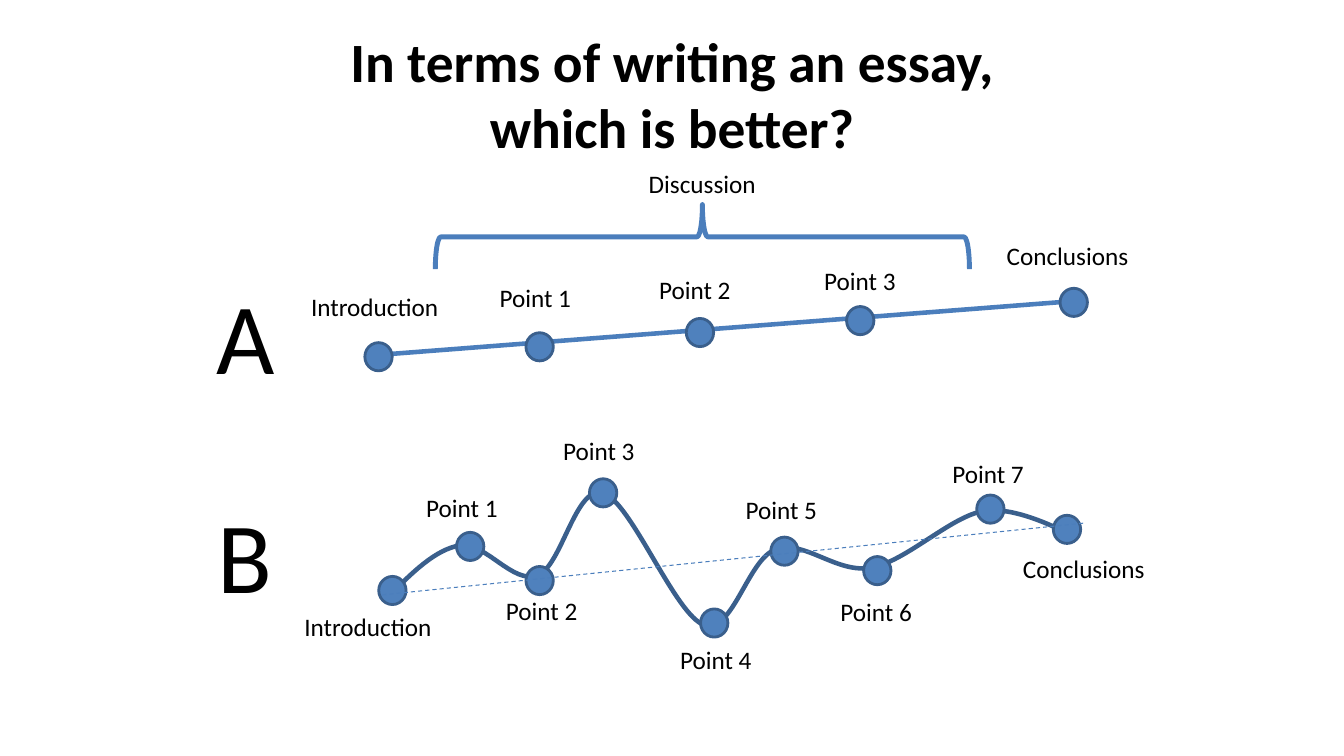
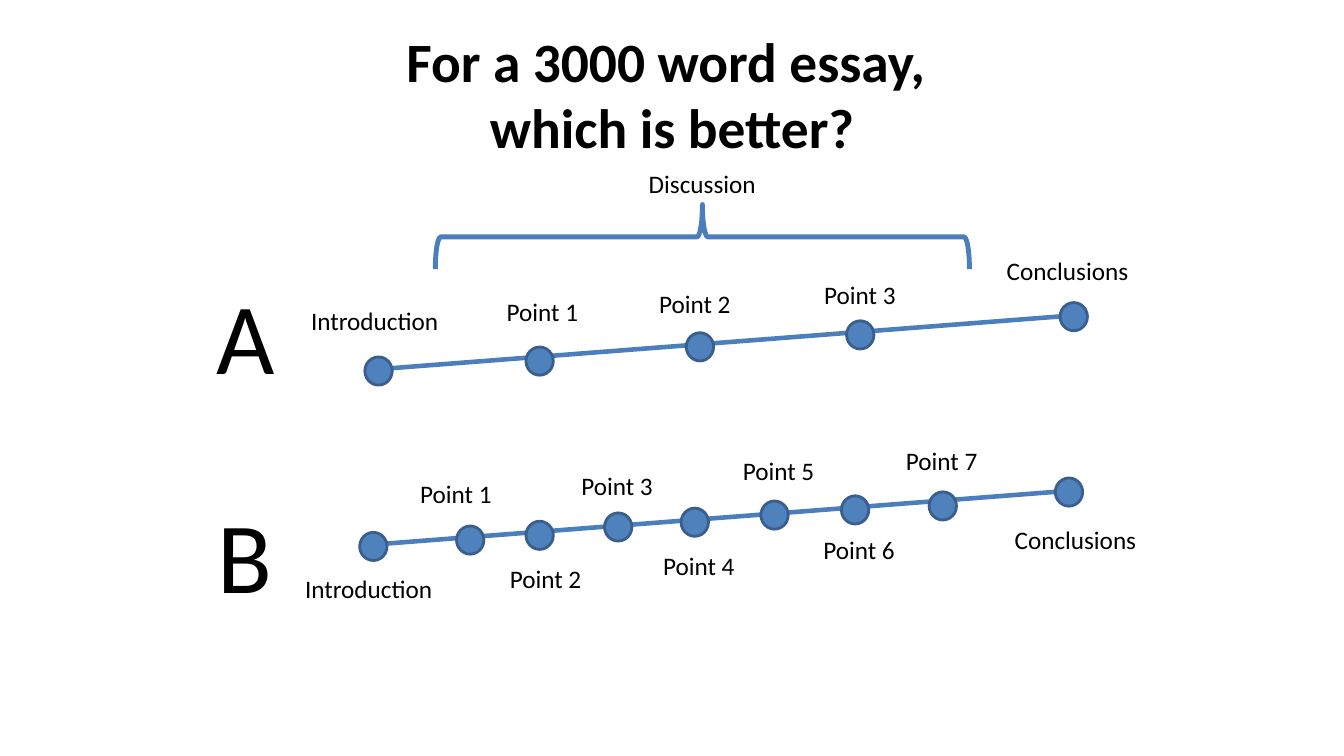
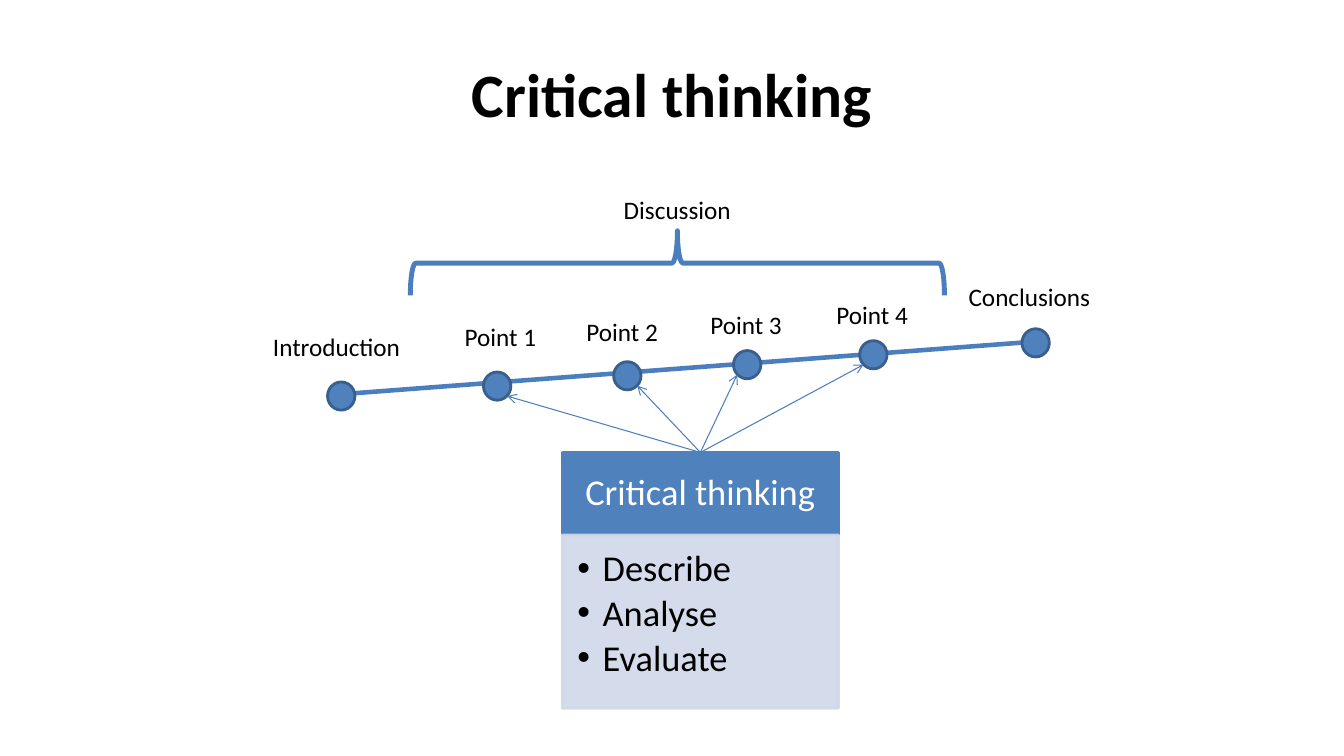
"""Builds three slides that compare the routes an essay can take."""
from lxml import etree
from pptx import Presentation as Deck
from pptx.dml.color import RGBColor as Rgb
from pptx.enum.dml import MSO_LINE as Dash
from pptx.enum.shapes import MSO_CONNECTOR as Wire, MSO_SHAPE as Kind
from pptx.enum.text import MSO_ANCHOR as Anchor, PP_ALIGN as Align
from pptx.oxml.ns import qn
from pptx.util import Cm, Pt

HUES = {"ink": "000000", "paper": "FFFFFF", "blue": "4F81BD",
        "line": "4B7EBC", "rim": "3A5F8C", "pale": "D0D8E8"}
FACE = "Calibri"
WIDTHS = {"Introduction": 3.89, "Conclusions": 3.61, "Discussion": 3.23}
POINT = 2.34
DOT = (0.69, 0.71)

WAVY = [("Introduction", 9.89, 14.88, 7.42, 15.29),
        ("Point 1", 11.85, 13.77, 10.49, 12.29),
        ("Point 2", 13.6, 14.63, 12.5, 14.88),
        ("Point 3", 15.2, 12.42, 13.94, 10.85),
        ("Point 4", 18, 15.7, 16.89, 16.1),
        ("Point 5", 19.77, 13.89, 18.54, 12.32),
        ("Point 6", 22.11, 14.38, 20.93, 14.91),
        ("Point 7", 24.96, 12.83, 23.75, 11.43),
        ("Conclusions", 26.89, 13.34, 25.53, 13.82)]
CURVE = [(9.78, 15.04),
         (10.39, 14.43), (10.97, 13.84), (11.61, 13.74),
         (12.24, 13.67), (12.93, 14.73), (13.54, 14.5),
         (14.15, 14.3), (14.5, 12.22), (15.19, 12.42),
         (15.9, 12.62), (17.02, 15.52), (17.75, 15.75),
         (18.47, 15.98), (18.85, 14.07), (19.56, 13.84),
         (20.27, 13.59), (21.11, 14.48), (21.97, 14.3),
         (22.83, 14.15), (23.98, 13), (24.79, 12.88),
         (25.6, 12.73), (26.9, 13.44), (26.9, 13.44)]
DENSE = [("Introduction", 9.41, 13.77, 7.44, 14.33),
         ("Point 1", 11.85, 13.61, 10.34, 11.94),
         ("Point 2", 13.6, 13.49, 12.6, 14.07),
         ("Point 3", 15.58, 13.28, 14.4, 11.73),
         ("Point 4", 17.51, 13.16, 16.46, 13.74),
         ("Point 5", 19.52, 12.98, 18.47, 11.35),
         ("Point 6", 21.55, 12.85, 20.5, 13.34),
         ("Point 7", 23.76, 12.75, 22.58, 11.1),
         ("Conclusions", 26.94, 12.4, 25.32, 13.08)]
FOUR = [("Introduction", 8.6, 9.98, 6.63, 8.23),
        ("Point 1", 12.53, 9.73, 11.46, 7.98),
        ("Point 2", 15.81, 9.47, 14.53, 7.85),
        ("Point 3", 18.83, 9.19, 17.65, 7.67),
        ("Point 4", 22.01, 8.94, 20.83, 7.42),
        ("Conclusions", 26.1, 8.64, 24.16, 6.96)]


def three(left, drop):
    return [(name, x, y + drop, tx, ty + drop) for name, x, y, tx, ty in [
        ("Introduction", 9.54, 8.99, 7.59, 7.21),
        ("Point 1", 13.6, 8.74, left, 6.99),
        ("Point 2", 17.64, 8.38, 16.36, 6.78),
        ("Point 3", 21.68, 8.08, 20.52, 6.55),
        ("Conclusions", 27.06, 7.62, 25.12, 5.94)]]


def cms(*nums):
    return [Cm(num) for num in nums]


def put(item, form):
    for key, value in form.items():
        setattr(item, key, value)


def hue(name):
    return Rgb.from_string(HUES[name])


def node(home, tag, **bits):
    made = etree.SubElement(home, qn(tag))
    for key, value in bits.items():
        made.set(key, str(value))
    return made


def write(part, words, size, ink="ink", **form):
    part.text = words
    put(part, form)
    put(part.font, {"name": FACE, "size": Pt(size)})
    part.font.color.rgb = hue(ink)


def text(slide, words, x, y, w, h, size=18):
    box = slide.shapes.add_textbox(*cms(x, y, w, h))
    box.text_frame.word_wrap = False
    write(box.text_frame.paragraphs[0], words, size)
    return box


def title(slide, words, size):
    box = text(slide, words, 1.7, 0.76, 30.48, 3.18, size)
    put(box.text_frame, {"word_wrap": True, "vertical_anchor": Anchor.MIDDLE})
    line = box.text_frame.paragraphs[0]
    line.alignment = Align.CENTER
    line.font.bold = True


def label(slide, words, x, y):
    text(slide, words, x, y, WIDTHS.get(words, POINT), 1.02)


def pen(item, ink, width):
    item.line.color.rgb = hue(ink)
    item.line.width = Pt(width)


def shape(slide, kind, x, y, w, h, fill, ink, width):
    made = slide.shapes.add_shape(kind, *cms(x, y, w, h))
    made.shadow.inherit = False
    if fill:
        made.fill.solid()
        made.fill.fore_color.rgb = hue(fill)
    else:
        made.fill.background()
    pen(made, ink, width)
    return made


def wire(slide, start, end, width):
    made = slide.shapes.add_connector(Wire.STRAIGHT, *cms(*start, *end))
    pen(made, "line", width)
    node(made.element.spPr, "a:effectLst")
    return made


def dots(slide, stops):
    w, h = DOT
    for name, x, y, tx, ty in stops:
        shape(slide, Kind.OVAL, x - w / 2, y - h / 2, w, h, "blue", "rim", 2)
        label(slide, name, tx, ty)


def route(slide, stops):
    x, y = stops[0][1:3]
    far, top = stops[-1][1:3]
    wire(slide, (x - 0.35, y - 0.02), (far + 0.22, top - 0.05), 3.25)
    dots(slide, stops)


def bend(slide, spots):
    places = [cms(*spot) for spot in spots]
    draft = slide.shapes.build_freeform(*places[0])
    draft.add_line_segments(places[1:], close=False)
    made = draft.convert_to_shape()
    made.shadow.inherit = False
    made.fill.background()
    pen(made, "rim", 3.25)
    track = next(made.element.iter(qn("a:path")))
    steps = track.findall(qn("a:lnTo"))
    for first in range(0, len(steps), 3):
        arc = node(track, "a:cubicBezTo")
        for step in steps[first:first + 3]:
            arc.append(step[0])
            track.remove(step)


def brace(slide, x, y):
    w, h = 1.63, 13.46
    made = shape(slide, Kind.LEFT_BRACE, x - w / 2, y - h / 2, w, h,
                 None, "line", 3.5)
    made.rotation = 90
    label(slide, "Discussion", x - 1.6, y - 1.86)


def sides(slide):
    text(slide, "A", 5.21, 6.78, 2.01, 3.33, 72)
    text(slide, "B", 5.23, 12.29, 1.91, 3.33, 72)


def pad(frame, *gaps):
    names = ("margin_left", "margin_top", "margin_right", "margin_bottom")
    put(frame, dict(zip(names, cms(*gaps))))


def card(slide, x, y, w):
    head = shape(slide, Kind.RECTANGLE, x, y, w, 2.08, "blue", "blue", 2)
    pad(head.text_frame, 0.51, 0.3, 0.51, 0.3)
    head.text_frame.vertical_anchor = Anchor.MIDDLE
    write(head.text_frame.paragraphs[0], "Critical thinking", 26, "paper",
          alignment=Align.CENTER, line_spacing=0.9)
    body = shape(slide, Kind.RECTANGLE, x, y + 2.08, w, 4.37,
                 "pale", "pale", 2)
    for tint in body.element.spPr.iter(qn("a:srgbClr")):
        node(tint, "a:alpha", val=90000)
    frame = body.text_frame
    pad(frame, 0.38, 0.38, 0.51, 0.58)
    frame.vertical_anchor = Anchor.TOP
    for rank, words in enumerate(("Describe", "Analyse", "Evaluate")):
        line = frame.add_paragraph() if rank else frame.paragraphs[0]
        props = line._p.get_or_add_pPr()
        put_in = {"marL": Cm(0.64), "indent": -Cm(0.64)}
        for key, value in put_in.items():
            props.set(key, str(value))
        node(props, "a:buFont", typeface="Arial")
        node(props, "a:buChar", char="•")
        write(line, words, 26, alignment=Align.LEFT, line_spacing=0.9,
              space_after=Pt(4))
    return head


def aim(slide, head, stops):
    x = (head.left + head.width / 2) / Cm(1)
    y = head.top / Cm(1)
    for stop in stops:
        side = 0.25 if stop[1] < x else -0.25
        made = wire(slide, (x, y), (stop[1] + side, stop[2] + 0.25), 0.75)
        made.begin_connect(head, 0)
        node(made.line._get_or_add_ln(), "a:tailEnd", type="arrow")


def main():
    deck = Deck()
    put(deck, {"slide_width": Cm(33.87), "slide_height": Cm(19.05)})
    essay, words, think = [deck.slides.add_slide(deck.slide_layouts[6])
                           for _ in range(3)]

    title(essay, "In terms of writing an essay,\vwhich is better?", 39.6)
    route(essay, three(12.34, 0))
    bend(essay, CURVE)
    dots(essay, WAVY)
    trend = wire(essay, (9.63, 14.99), (27.33, 13.18), 0.75)
    trend.line.dash_style = Dash.DASH

    title(words, "For a 3000 word essay, \vwhich is better?", 39.6)
    route(words, three(12.52, 0.36))
    route(words, DENSE)

    for slide in (essay, words):
        sides(slide)
        brace(slide, 17.7, 5.97)

    title(think, "Critical thinking", 44)
    route(think, FOUR)
    brace(think, 17.07, 6.63)
    aim(think, card(think, 14.17, 11.4, 6.96), FOUR[1:-1])

    deck.save("out.pptx")


if __name__ == "__main__":
    main()
